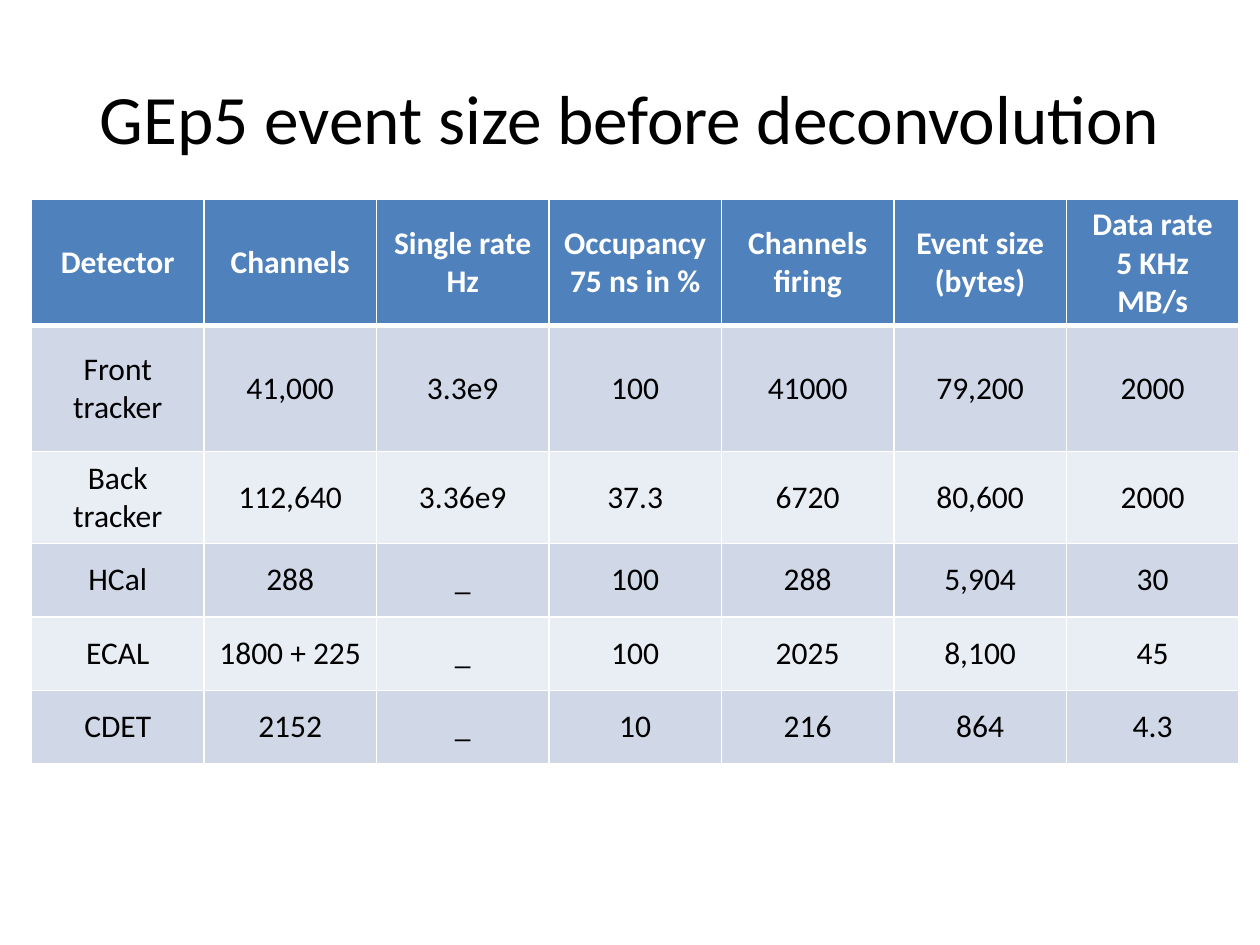
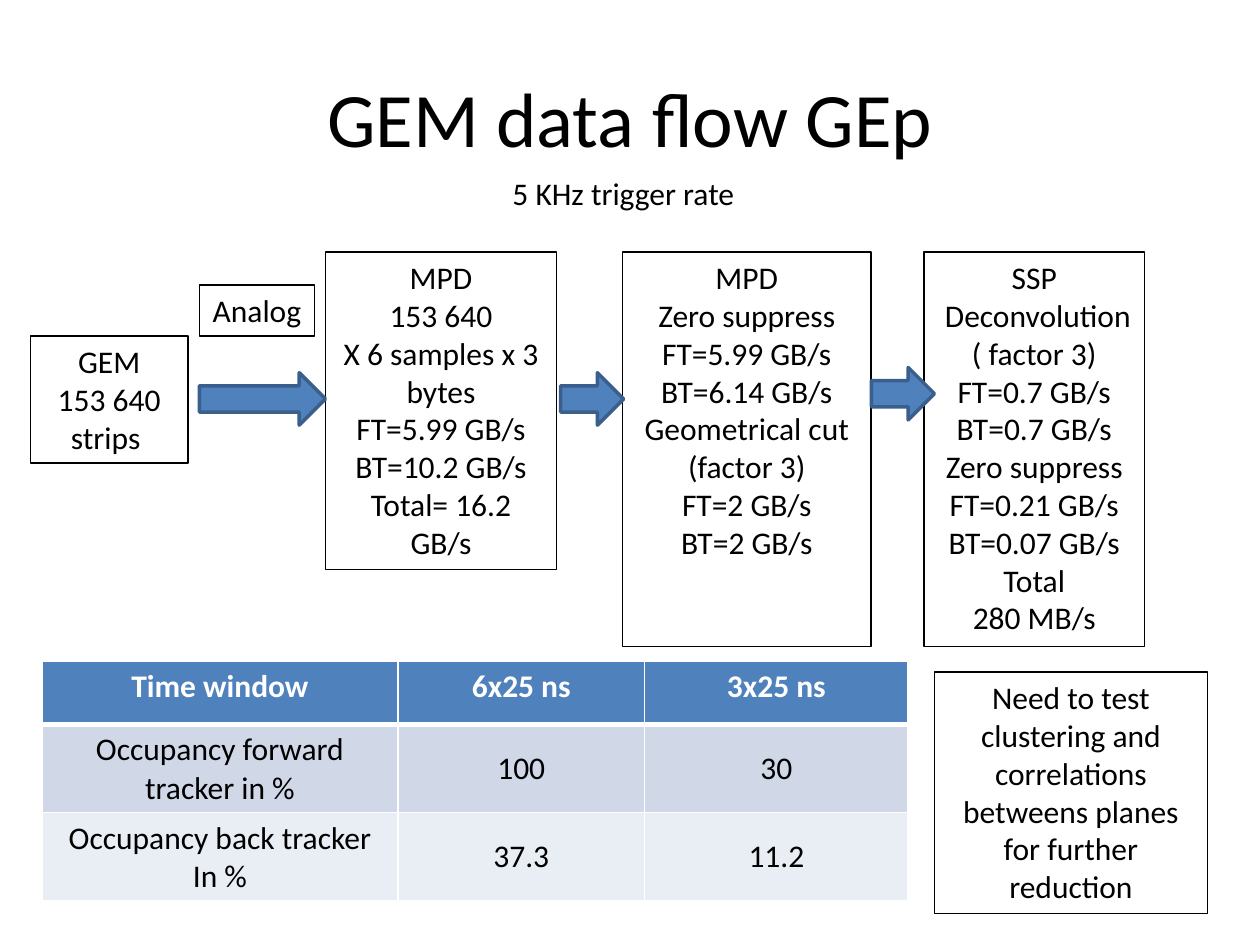
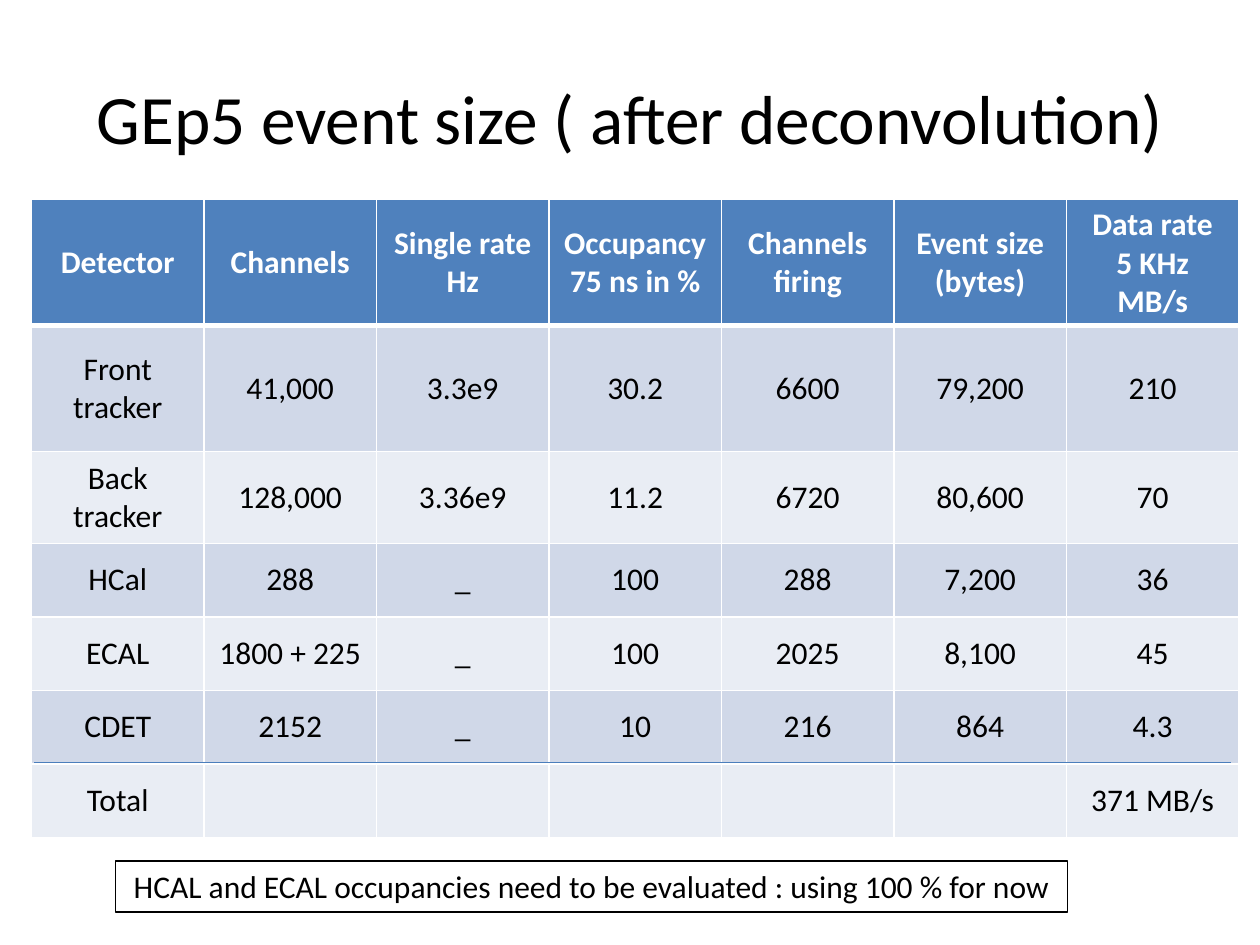
from dataclasses import dataclass
from typing import NamedTuple

from lxml import etree
from pptx import Presentation
from pptx.dml.color import RGBColor
from pptx.enum.shapes import MSO_CONNECTOR, MSO_SHAPE
from pptx.enum.text import MSO_ANCHOR, PP_ALIGN
from pptx.oxml.ns import qn
from pptx.util import Inches, Length, Pt

CENTER = PP_ALIGN.CENTER
TOP = MSO_ANCHOR.TOP
MIDDLE = MSO_ANCHOR.MIDDLE
RIGHT_ARROW = MSO_SHAPE.RIGHT_ARROW
STRAIGHT = MSO_CONNECTOR.STRAIGHT

FONT = "Calibri"
BODY_SIZE = 18
BLACK, WHITE = "000000", "FFFFFF"
ACCENT, ARROW_EDGE, RULE = "4F81BD", "3A5F8C", "4B7EBC"
BANDS = ("D0D8E8", "E9EDF4")
GRID_COLUMNS, GRID_ROWS = 120, 90
SLIDE_WIDTH, SLIDE_HEIGHT = Inches(10), Inches(7.5)


class Area(NamedTuple):
    column: float
    row: float
    columns: float
    rows: float


@dataclass(frozen=True)
class TextBox:
    area: Area
    text: str
    outlined: bool = True
    wrap: bool = True


@dataclass(frozen=True)
class TableSpec:
    column: float
    row: float
    widths: list[float]
    heights: list[float]
    cells: list[list[str]]
    header_anchor: MSO_ANCHOR = MIDDLE


TITLE_AREA = Area(6, 3.6, 108, 15)

DETECTOR_HEADER = [
    "Detector", "Channels", "Single rate\nHz", "Occupancy\n75 ns in %",
    "Channels firing", "Event size\n(bytes)", "Data rate\n5 KHz\nMB/s",
]
BEFORE_DECONVOLUTION = [
    ["Front tracker", "41,000", "3.3e9", "100", "41000", "79,200", "2000"],
    ["Back tracker", "112,640", "3.36e9", "37.3", "6720", "80,600", "2000"],
    ["HCal", "288", "_", "100", "288", "5,904", "30"],
    ["ECAL", "1800 + 225 ", "_", "100", "2025", "8,100", "45"],
    ["CDET", "2152", "_", "10", "216", "864", "4.3"],
]
AFTER_DECONVOLUTION = [
    ["Front tracker", "41,000", "3.3e9", "30.2", "6600", "79,200", "210"],
    ["Back tracker", "128,000", "3.36e9", "11.2", "6720", "80,600", "70"],
    ["HCal", "288", "_", "100", "288", "7,200", "36"],
    ["ECAL", "1800 + 225 ", "_", "100", "2025", "8,100", "45"],
    ["CDET", "2152", "_", "10", "216", "864", "4.3"],
    ["Total", "", "", "", "", "", "371 MB/s"],
]
OCCUPANCY_TABLE = TableSpec(
    4, 63, [33.9, 23.5, 25.1], [6, 8.4, 8.4],
    [
        ["Time window", "6x25 ns", "3x25 ns"],
        ["Occupancy forward tracker in %", "100", "30"],
        ["Occupancy back tracker\nIn %", "37.3", "11.2"],
    ],
    TOP,
)

FLOW_BOXES = [
    TextBox(Area(2.9, 32, 15, 12.1), "GEM\n153 640\nstrips "),
    TextBox(
        Area(31, 24, 22, 30.25),
        "MPD\n153 640\nX 6 samples x 3 bytes\nFT=5.99 GB/s\nBT=10.2 GB/s\nTotal= 16.2 GB/s",
    ),
    TextBox(Area(47.5, 16, 23.75, 4.85), "5 KHz trigger rate", outlined=False, wrap=False),
    TextBox(
        Area(59.3, 24, 23.65, 37.55),
        "MPD\nZero suppress\nFT=5.99 GB/s\nBT=6.14 GB/s\n"
        "Geometrical cut (factor 3)\nFT=2 GB/s\nBT=2 GB/s",
    ),
    TextBox(Area(19, 27.15, 10.95, 4.85), "Analog", wrap=False),
    TextBox(
        Area(88, 24, 21, 37.55),
        "SSP\n Deconvolution\n( factor 3)\nFT=0.7 GB/s\nBT=0.7 GB/s\n"
        "Zero suppress\nFT=0.21 GB/s\nBT=0.07 GB/s\nTotal\n280 MB/s",
    ),
    TextBox(
        Area(89, 64, 26, 23),
        "Need to test clustering and correlations betweens planes for further reduction",
    ),
]
FLOW_ARROWS = [Area(19, 35.5, 12, 5), Area(53.4, 35.5, 6, 5), Area(83, 35, 6, 5)]
OCCUPANCY_NOTE = TextBox(
    Area(11, 82, 90.7, 4.85),
    "HCAL and ECAL occupancies need to be evaluated : using 100 % for now",
    wrap=False,
)


def color(value: str) -> RGBColor:
    return RGBColor.from_string(value)


def across(columns: float) -> Length:
    return Length(round(SLIDE_WIDTH * columns / GRID_COLUMNS))


def down(rows: float) -> Length:
    return Length(round(SLIDE_HEIGHT * rows / GRID_ROWS))


def place(area: Area) -> tuple[Length, Length, Length, Length]:
    return across(area.column), down(area.row), across(area.columns), down(area.rows)


def write(text_frame, text: str, size: float = BODY_SIZE,
          text_color: str = BLACK, bold: bool = False) -> None:
    text_frame.text = text
    for paragraph in text_frame.paragraphs:
        paragraph.alignment = CENTER
        for run in paragraph.runs:
            run.font.name = FONT
            run.font.size = Pt(size)
            run.font.bold = bold
            run.font.color.rgb = color(text_color)


def outline(shape, line_color: str, width: float) -> None:
    shape.line.color.rgb = color(line_color)
    shape.line.width = Pt(width)


def add_title_slide(presentation, title: str, size: float):
    slide = presentation.slides.add_slide(presentation.slide_layouts[6])
    shape = slide.shapes.add_textbox(*place(TITLE_AREA))
    shape.text_frame.word_wrap = True
    shape.text_frame.vertical_anchor = MIDDLE
    write(shape.text_frame, title, size)
    return slide


def add_text_box(slide, box: TextBox) -> None:
    shape = slide.shapes.add_textbox(*place(box.area))
    shape.text_frame.word_wrap = box.wrap
    write(shape.text_frame, box.text)
    if box.outlined:
        outline(shape, BLACK, 0.75)


def add_flow_arrow(slide, area: Area) -> None:
    shape = slide.shapes.add_shape(RIGHT_ARROW, *place(area))
    shape.shadow.inherit = False
    shape.fill.solid()
    shape.fill.fore_color.rgb = color(ACCENT)
    outline(shape, ARROW_EDGE, 2)


def add_rule(slide, start: float, end: float, row: float) -> None:
    connector = slide.shapes.add_connector(
        STRAIGHT, across(start), down(row), across(end), down(row))
    outline(connector, RULE, 0.75)
    etree.SubElement(connector._element.spPr, qn("a:effectLst"))


def set_borders(cell, top: float, bottom: float) -> None:
    properties = cell._tc.get_or_add_tcPr()
    for side, width in (("L", 1), ("R", 1), ("T", top), ("B", bottom)):
        line = etree.SubElement(properties, qn(f"a:ln{side}"), w=str(Pt(width)))
        fill = etree.SubElement(line, qn("a:solidFill"))
        etree.SubElement(fill, qn("a:srgbClr"), val=WHITE)


def add_data_table(slide, spec: TableSpec) -> None:
    area = Area(spec.column, spec.row, sum(spec.widths), sum(spec.heights))
    table = slide.shapes.add_table(len(spec.heights), len(spec.widths), *place(area)).table
    for column, width in zip(table.columns, spec.widths):
        column.width = across(width)
    for row_index, (row, height) in enumerate(zip(table.rows, spec.heights)):
        row.height = down(height)
        header = row_index == 0
        for cell, text in zip(row.cells, spec.cells[row_index]):
            set_borders(cell, top=3 if row_index == 1 else 1, bottom=3 if header else 1)
            cell.fill.solid()
            cell.fill.fore_color.rgb = color(ACCENT if header else BANDS[(row_index - 1) % 2])
            cell.vertical_anchor = spec.header_anchor if header else MIDDLE
            write(cell.text_frame, text, text_color=WHITE if header else BLACK, bold=header)


def add_detector_slide(presentation, title: str, detectors: list[list[str]]):
    slide = add_title_slide(presentation, title, 39.6)
    heights = [12, 12, 8.75] + [7] * (len(detectors) - 2)
    widths = [115 / 7] * len(DETECTOR_HEADER)
    add_data_table(slide, TableSpec(3, 19, widths, heights, [DETECTOR_HEADER, *detectors]))
    return slide


def add_flow_slide(presentation) -> None:
    slide = add_title_slide(presentation, "GEM data flow GEp", 44)
    for box in FLOW_BOXES:
        add_text_box(slide, box)
    for area in FLOW_ARROWS:
        add_flow_arrow(slide, area)
    add_data_table(slide, OCCUPANCY_TABLE)


def main() -> None:
    presentation = Presentation()
    presentation.slide_width = SLIDE_WIDTH
    presentation.slide_height = SLIDE_HEIGHT
    add_detector_slide(
        presentation, "GEp5 event size before deconvolution", BEFORE_DECONVOLUTION)
    add_flow_slide(presentation)
    slide = add_detector_slide(
        presentation, "GEp5 event size ( after deconvolution)", AFTER_DECONVOLUTION)
    add_rule(slide, 3.25, 117.25, 72.6)
    add_text_box(slide, OCCUPANCY_NOTE)
    presentation.save("out.pptx")


if __name__ == "__main__":
    main()
